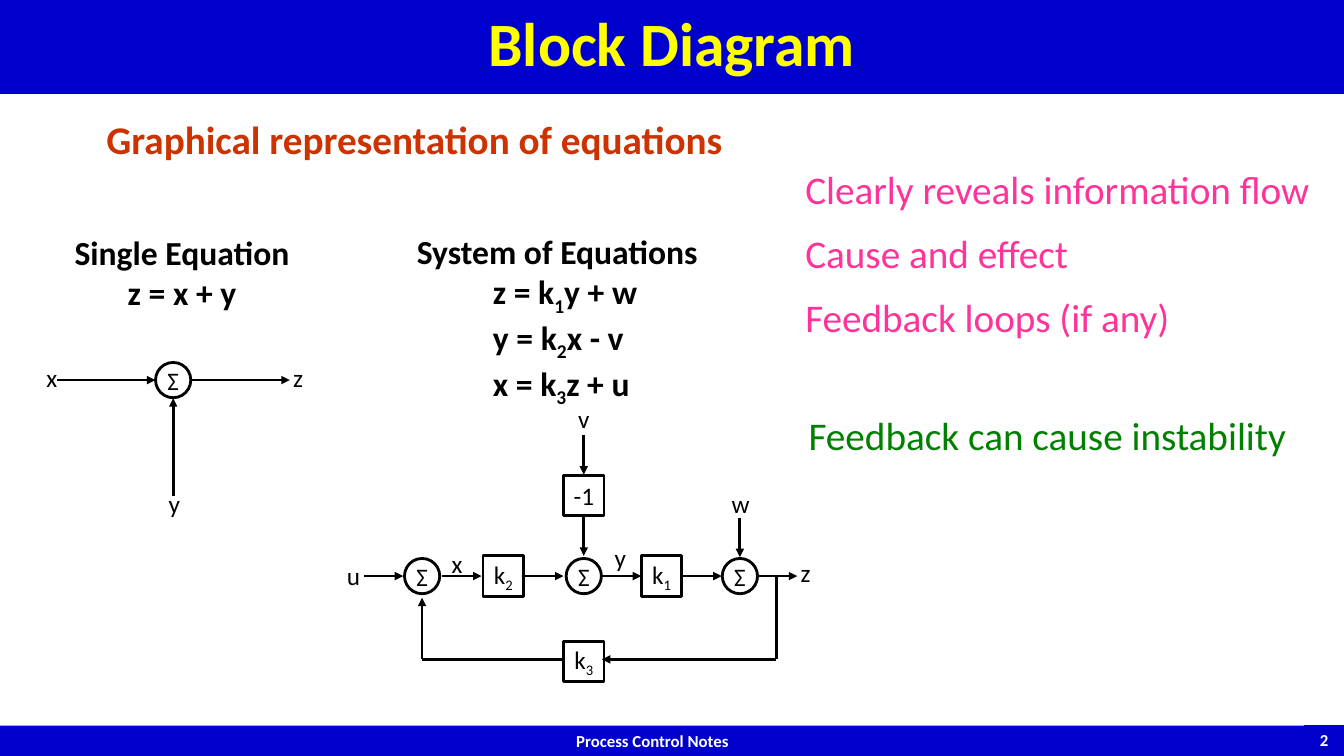
from dataclasses import dataclass

from pptx import Presentation
from pptx.dml.color import RGBColor
from pptx.enum.shapes import MSO_CONNECTOR, MSO_SHAPE
from pptx.enum.text import MSO_ANCHOR, MSO_AUTO_SIZE, PP_ALIGN
from pptx.oxml.ns import qn
from pptx.util import Pt
from lxml.etree import SubElement


@dataclass(frozen=True)
class Theme:
    font: str = "Calibri"
    band: str = "0000CC"
    title: str = "FFFF00"
    heading: str = "CC3300"
    benefit: str = "FF3399"
    warning: str = "008000"
    ink: str = "000000"
    light: str = "FFFFFF"
    title_size: int = 44
    lead_size: int = 28
    equation_size: int = 24
    signal_size: int = 18
    footer_size: int = 12
    line_width: int = 2


THEME = Theme()
NODE_SIZE = 25.2
GAIN_SIZE = 29


def color(code):
    return RGBColor.from_string(code)


def add_spans(para, text):
    """Add text in which each underscore lowers the next character."""
    first, *rest = text.split("_")
    if first:
        para.add_run().text = first
    for part in rest:
        span = para.add_run()
        span.text = part[0]
        span.font._element.set("baseline", "-25000")
        if part[1:]:
            para.add_run().text = part[1:]


def write(box, lines, size, ink, bold=False, align=PP_ALIGN.LEFT,
          anchor=MSO_ANCHOR.TOP, wrap=True, inset=(7.2, 3.6), gap=0):
    """Fill a box with one paragraph per line."""
    frame = box.text_frame
    frame.word_wrap = wrap
    frame.auto_size = MSO_AUTO_SIZE.NONE
    frame.vertical_anchor = anchor
    frame.margin_left = frame.margin_right = Pt(inset[0])
    frame.margin_top = frame.margin_bottom = Pt(inset[1])
    for index, line in enumerate(lines):
        para = frame.add_paragraph() if index else frame.paragraphs[0]
        add_spans(para, line)
        para.alignment = align
        para.space_before = Pt(0)
        para.space_after = Pt(gap)
        para.font.name = THEME.font
        para.font.size = Pt(size)
        para.font.bold = bold
        para.font.color.rgb = color(ink)
    return frame.paragraphs


def place(box, left, top, width, height):
    box.left, box.top = Pt(left), Pt(top)
    box.width, box.height = Pt(width), Pt(height)


def set_indent(para, margin):
    properties = para._p.get_or_add_pPr()
    properties.set("marL", str(Pt(margin)))
    properties.set("indent", "0")
    return properties


def add_text(shapes, left, top, width, height, lines, size, ink, **options):
    box = shapes.add_textbox(Pt(left), Pt(top), Pt(width), Pt(height))
    return write(box, lines, size, ink, **options)


def add_band(page, left, top, width, height, text):
    band = page.shapes.add_shape(MSO_SHAPE.RECTANGLE, Pt(left), Pt(top), Pt(width), Pt(height))
    band.shadow.inherit = False
    band.fill.solid()
    band.fill.fore_color.rgb = color(THEME.band)
    band.line.fill.background()
    write(band, [text], THEME.footer_size, THEME.light, bold=True, align=PP_ALIGN.CENTER)


def add_block(shapes, kind, size, x, y, text):
    """Outlined block centred on x, y."""
    block = shapes.add_shape(kind, Pt(x - size / 2), Pt(y - size / 2), Pt(size), Pt(size))
    block.shadow.inherit = False
    block.fill.background()
    block.line.color.rgb = color(THEME.ink)
    block.line.width = Pt(THEME.line_width)
    write(block, [text], THEME.signal_size, THEME.ink, align=PP_ALIGN.CENTER,
          anchor=MSO_ANCHOR.MIDDLE, wrap=False, inset=(0, 0))


def add_sum(shapes, x, y):
    add_block(shapes, MSO_SHAPE.OVAL, NODE_SIZE, x, y, "Σ")


def add_gain(shapes, x, y, text):
    add_block(shapes, MSO_SHAPE.RECTANGLE, GAIN_SIZE, x, y, text)


def add_signal(shapes, x, y, name):
    """Signal name centred on x, y."""
    add_text(shapes, x - 12, y - 14.5, 24, 29, [name], THEME.signal_size, THEME.ink,
             align=PP_ALIGN.CENTER, wrap=False)


def add_line(shapes, x1, y1, x2, y2, arrow=True):
    line = shapes.add_connector(MSO_CONNECTOR.STRAIGHT, Pt(x1), Pt(y1), Pt(x2), Pt(y2))
    line.line.color.rgb = color(THEME.ink)
    line.line.width = Pt(THEME.line_width)
    if arrow:
        SubElement(line.line._get_or_add_ln(), qn("a:tailEnd"), type="triangle")
    SubElement(line._element.spPr, qn("a:effectLst"))


def draw_single_equation(shapes):
    x, y = 123.7, 271.5
    add_sum(shapes, x, y)
    add_line(shapes, 41, y, 111, y)
    add_line(shapes, x, 354, x, 284.5)
    add_line(shapes, 137, y, 207, y)
    for name, left, top in (("x", 37, 270), ("y", 124.5, 360), ("z", 213, 269.5)):
        add_signal(shapes, left, top, name)


def draw_equation_system(shapes):
    axis, loop = 411.5, 471
    first, middle, last, branch = 301.5, 417, 528.5, 554.5
    # Summing nodes and gains
    for x in (first, middle, last):
        add_sum(shapes, x, axis)
    for x, y, text in ((middle, 354, "-1"), (359.5, axis, "k_2"),
                       (472.5, axis, "k_1"), (middle, 472.5, "k_3")):
        add_gain(shapes, x, y, text)
    # Forward path
    for start in (260, 316, 374.5, 430, 487.5, 541.5):
        add_line(shapes, start, axis, start + 28, axis)
    # Disturbances from above
    for x, top in ((middle, 311), (middle, 369), (last, 370)):
        add_line(shapes, x, top, x, top + 28)
    # Feedback loop
    add_line(shapes, branch, axis, branch, loop, arrow=False)
    add_line(shapes, branch, loop, 430, loop)
    add_line(shapes, 402, loop, first, loop, arrow=False)
    add_line(shapes, first, loop, first, 427)
    # Signal names
    for name, x, y in (("u", 252.5, 411), ("x", 326.5, 402.5), ("y", 443, 398.5),
                       ("z", 575.5, 409), ("v", middle, 299), ("w", 529, 360)):
        add_signal(shapes, x, y, name)


def main():
    deck = Presentation()
    deck.slide_width, deck.slide_height = Pt(960), Pt(540)
    page = deck.slides.add_slide(deck.slide_layouts[1])
    shapes = page.shapes

    # Footer
    add_band(page, 0, 518.4, 932, 21.6, "Process Control Notes")
    add_band(page, 931.5, 518, 28.5, 22, "2")

    # Title
    title = shapes.title
    place(title, 0, 0, 960, 67)
    title.fill.solid()
    title.fill.fore_color.rgb = color(THEME.band)
    heading = write(title, ["Block Diagram"], THEME.title_size, THEME.title, bold=True,
                    align=PP_ALIGN.CENTER, anchor=MSO_ANCHOR.MIDDLE)
    heading[0].line_spacing = 0.9

    # Heading and equations
    add_text(shapes, 69, 78.5, 460, 41, ["Graphical representation of equations"],
             THEME.lead_size, THEME.heading, bold=True, wrap=False)
    add_text(shapes, 45, 162, 170, 65.5, ["Single Equation", "z = x + y"],
             THEME.equation_size, THEME.ink, bold=True, align=PP_ALIGN.CENTER, wrap=False)
    system, *equations = add_text(
        shapes, 273, 161.3, 234, 152.5,
        ["System of Equations", "z = k_1y + w", "y = k_2x - v", "x = k_3z + u"],
        THEME.equation_size, THEME.ink, bold=True)
    system.alignment = PP_ALIGN.CENTER
    set_indent(system, 16)
    for equation in equations:
        set_indent(equation, 72)

    # Diagrams
    draw_single_equation(shapes.add_group_shape().shapes)
    draw_equation_system(shapes.add_group_shape().shapes)

    # Benefits and warning
    benefits = page.placeholders[1]
    place(benefits, 568, 114.5, 384, 133)
    for para in write(benefits, ["Clearly reveals information flow", "Cause and effect",
                                 "Feedback loops (if any)"],
                      THEME.lead_size, THEME.benefit, gap=12):
        bullet = set_indent(para, 0).makeelement(qn("a:buNone"))
        para._p.pPr.insert_element_before(bullet, "a:tabLst", "a:defRPr", "a:extLst")
    add_text(shapes, 556, 290, 384, 41, ["Feedback can cause instability"],
             THEME.lead_size, THEME.warning, align=PP_ALIGN.CENTER)

    deck.save("out.pptx")


main()
